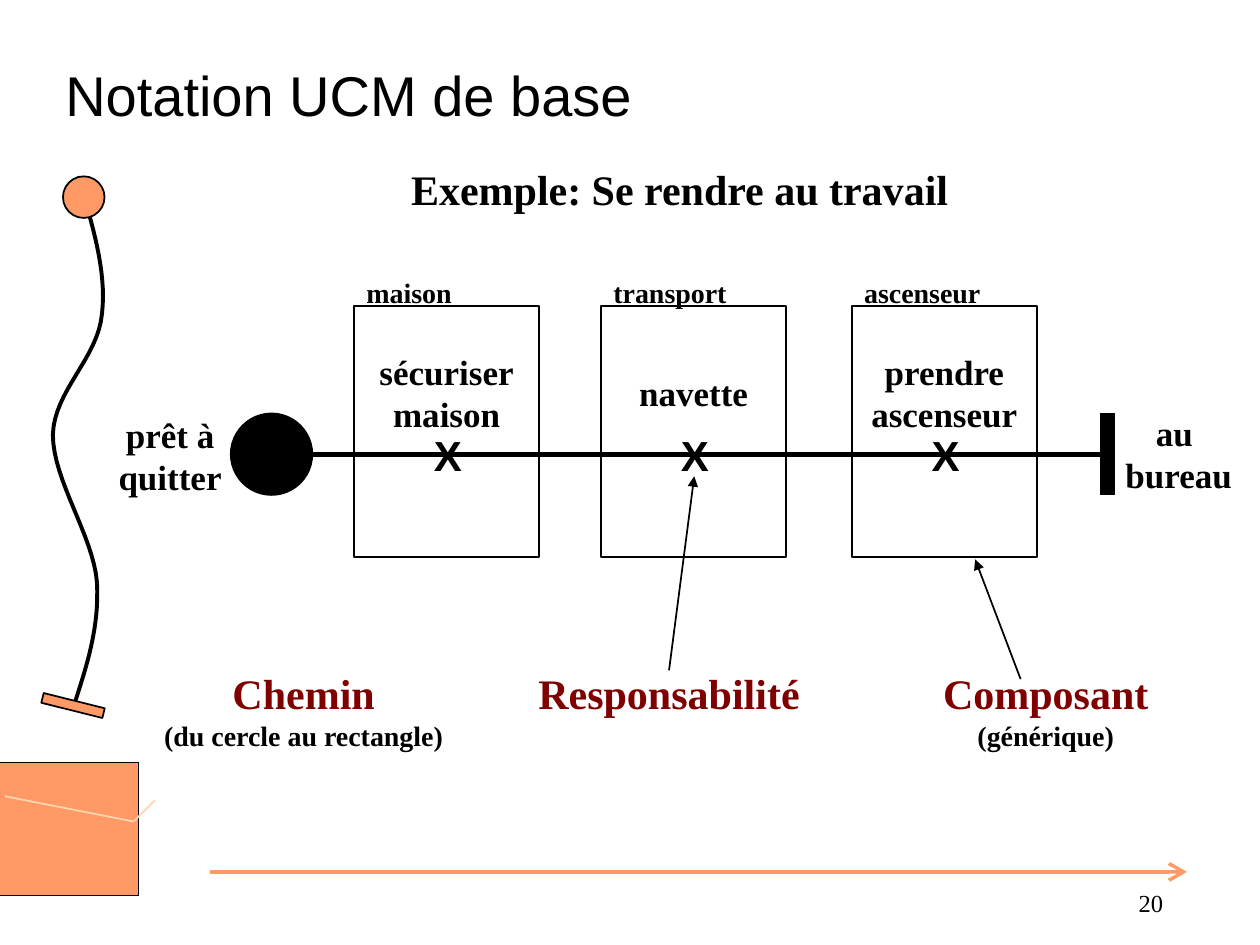
from lxml import etree
from pptx import Presentation
from pptx.dml.color import RGBColor
from pptx.enum import shapes, text
from pptx.oxml.ns import qn
from pptx.util import Inches, Pt

BLACK, ORANGE, PEACH, MAROON = "000000", "FF9966", "FFD7AF", "800000"
SERIF, SANS = "Times New Roman", "Arial"
LEFT, CENTER, RIGHT = text.PP_ALIGN.LEFT, text.PP_ALIGN.CENTER, text.PP_ALIGN.RIGHT
RECT, OVAL = shapes.MSO_SHAPE.RECTANGLE, shapes.MSO_SHAPE.OVAL


def rgb(value):
    return RGBColor.from_string(value)


def add_text(s, box, lines, size, font=SERIF, bold=True, align=CENTER,
             color=BLACK, wrap=False, anchor=text.MSO_ANCHOR.TOP):
    """Lines are strings, or (string, size, color) where one differs."""
    tf = s.shapes.add_textbox(*map(Inches, box)).text_frame
    tf.word_wrap = wrap
    tf.vertical_anchor = anchor
    for i, line in enumerate(lines):
        content, pt, ink = (line, size, color) if isinstance(line, str) else line
        p = tf.paragraphs[0] if i == 0 else tf.add_paragraph()
        p.text = content
        p.alignment = align
        for r in p.runs:
            r.font.name, r.font.size, r.font.bold = font, Pt(pt), bold
            r.font.color.rgb = rgb(ink)


def style(sp, fill, width):
    sp.shadow.inherit = False
    if fill:
        sp.fill.solid()
        sp.fill.fore_color.rgb = rgb(fill)
    else:
        sp.fill.background()
    sp.line.color.rgb = rgb(BLACK)
    sp.line.width = Pt(width)


def add_preset(s, kind, box, fill=None, width=1.0):
    sp = s.shapes.add_shape(kind, *map(Inches, box))
    style(sp, fill, width)
    return sp


def add_line(s, start, end, color=BLACK, width=1.0, head=None, head_size="med"):
    ln = s.shapes.add_connector(shapes.MSO_CONNECTOR.STRAIGHT,
                                *map(Inches, (*start, *end)))
    ln.line.color.rgb = rgb(color)
    ln.line.width = Pt(width)
    if head:
        etree.SubElement(ln.line._get_or_add_ln(), qn("a:tailEnd"),
                         type=head, w=head_size, len=head_size)
    etree.SubElement(ln._element.spPr, qn("a:effectLst"))


def bezier(p0, p1, p2, p3, steps=16):
    for i in range(1, steps + 1):
        t = i / steps
        weights = ((1 - t) ** 3, 3 * t * (1 - t) ** 2, 3 * t * t * (1 - t), t ** 3)
        yield tuple(sum(w * c for w, c in zip(weights, axis))
                    for axis in zip(p0, p1, p2, p3))


def wavy_path(s, x, y):
    """Decorative path from a circle down to a tilted bar."""
    start = (0.29, 0)
    curves = [((0.40, 0.37), (0.52, 0.75), (0.48, 1.09)),
              ((0.45, 1.44), (0.10, 1.70), (0.09, 2.05)),
              ((0.09, 2.41), (0.41, 2.85), (0.44, 3.22)),
              ((0.46, 3.58), (0.36, 3.88), (0.26, 4.19))]
    points, here = [], start
    for curve in curves:
        points += bezier(here, *curve)
        here = curve[-1]
    fb = s.shapes.build_freeform(Inches(x + start[0]), Inches(y + start[1]))
    fb.add_line_segments([(Inches(x + px), Inches(y + py)) for px, py in points],
                         close=False)
    style(fb.convert_to_shape(), None, 2.25)
    add_preset(s, RECT, (x, y + 4.16, 0.5, 0.08), ORANGE).rotation = 14
    add_preset(s, OVAL, (x + 0.17, y, 0.33, 0.33), ORANGE)


def corner_block(s, x, y, w, h):
    add_preset(s, RECT, (x, y, w, h), ORANGE, 0.75)
    bend = (x + 1.09, y + 0.47)
    add_line(s, (x + 0.07, y + 0.27), bend, PEACH)
    add_line(s, bend, (x + 1.26, y + 0.30), PEACH)


def scenario_path(s, x, y, w, h):
    """Start circle, path line and end bar, with their captions."""
    mid, end = y + h / 2, x + w
    add_line(s, (x + 0.43, mid), (end, mid), width=3)
    add_preset(s, OVAL, (x, y, h, h), BLACK, 0.75)
    add_line(s, (end, y), (end, y + h), width=9)
    add_text(s, (x - 0.99, y - 0.05, 1.02, 0.77), ["prêt à", "quitter"], 20)
    add_text(s, (end + 0.04, y - 0.06, 1.05, 0.77), ["au \vbureau"], 20)


def component(s, x, y, w, h, name, action, action_dy):
    """Named box holding one responsibility."""
    add_preset(s, RECT, (x, y, w, h))
    add_text(s, (x, y - 0.29, w, 0.37), [name], 16, align=LEFT)
    add_text(s, (x, y + action_dy, w, 0.77), action, 20)
    add_text(s, (x + w / 2 - 0.2, y + 0.93, 0.42, 0.5), ["X"], 24, SANS)


def legend(s, y):
    """Captions, each centred on its own middle, and their arrows."""
    w = 2.6
    for middle, lines in [
            (2.41, ["Chemin", ("(du cercle au rectangle)", 16, BLACK)]),
            (5.31, ["Responsabilité"]),
            (8.3, ["Composant", ("(générique)", 16, BLACK)])]:
        add_text(s, (middle - w / 2, y, w, 0.27 + 0.25 * len(lines)), lines, 24,
                 color=MAROON)
    add_line(s, (5.31, y + 0.07), (5.51, y - 1.47), head="triangle")
    add_line(s, (8.1, y + 0.14), (7.74, y - 0.81), head="triangle")


def main():
    prs = Presentation()
    prs.slide_width, prs.slide_height = Inches(10), Inches(7.5)
    s = prs.slides.add_slide(prs.slide_layouts[6])

    # Decoration
    corner_block(s, -0.03, 6.05, 1.13, 1.06)
    wavy_path(s, 0.33, 1.4)
    add_line(s, (1.67, 6.92), (9.42, 6.92), ORANGE, 2, "arrow", "lg")

    # Headings
    add_text(s, (0.42, 0.25, 9, 1), ["Notation UCM de base"], 32, SANS, False,
             LEFT, wrap=True, anchor=text.MSO_ANCHOR.MIDDLE)
    add_text(s, (3.16, 1.25, 4.47, 0.5), ["Exemple: Se rendre au travail"], 24)

    # Diagram
    scenario_path(s, 1.83, 3.28, 6.96, 0.65)
    for x, name, action, action_dy in [
            (2.81, "maison", ["sécuriser", "maison"], 0.3),
            (4.77, "transport", ["navette"], 0.47),
            (6.76, "ascenseur", ["prendre\vascenseur"], 0.3)]:
        component(s, x, 2.43, 1.47, 1.99, name, action, action_dy)
    legend(s, 5.25)

    # Page number
    add_text(s, (8.83, 7, 0.5, 0.5), ["20"], 14, bold=False, align=RIGHT, wrap=True)

    prs.save("out.pptx")


if __name__ == "__main__":
    main()
